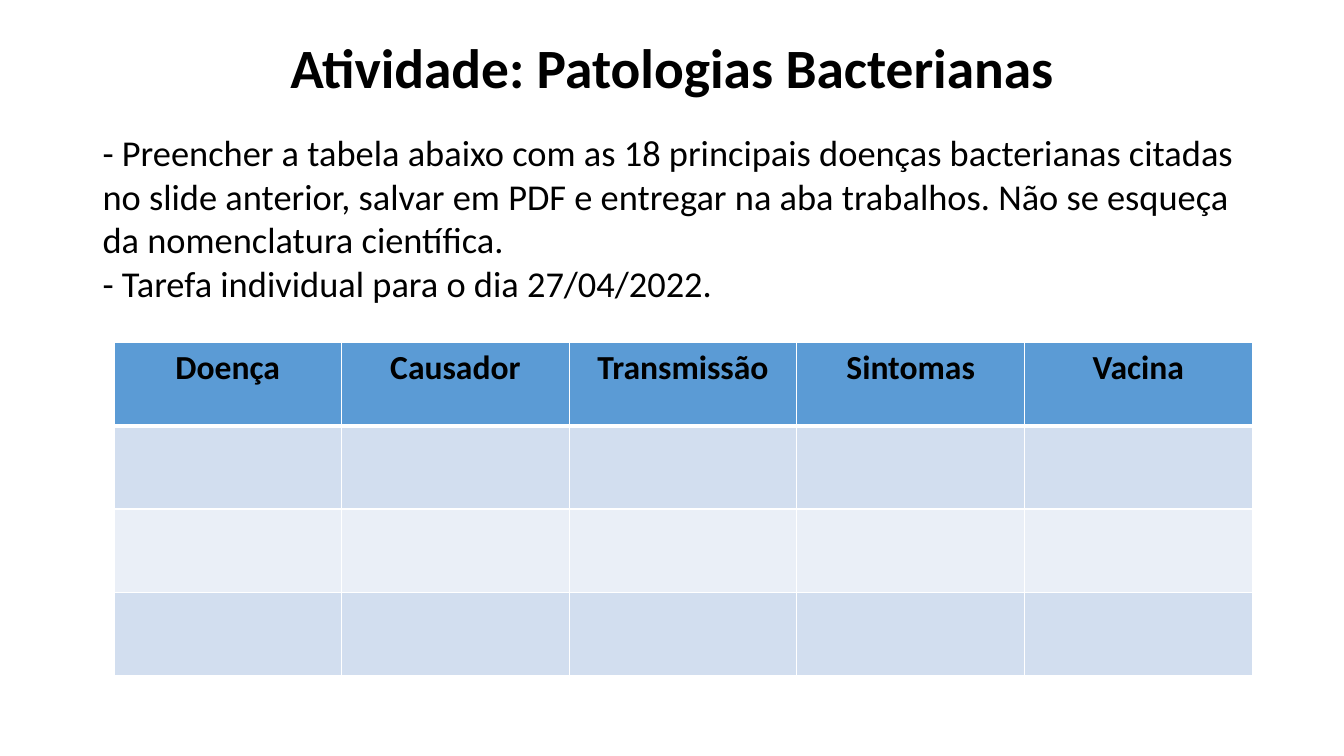
from dataclasses import dataclass

from lxml import etree
from pptx import Presentation
from pptx.dml.color import RGBColor
from pptx.enum.text import MSO_ANCHOR, PP_ALIGN
from pptx.oxml.ns import qn
from pptx.util import Pt

CENTER, LEFT = PP_ALIGN.CENTER, PP_ALIGN.LEFT
MIDDLE = MSO_ANCHOR.MIDDLE
BLANK_LAYOUT = 6


@dataclass(frozen=True)
class Theme:
    font: str = "Calibri"
    text: str = "000000"
    border: str = "FFFFFF"
    header: str = "5B9BD5"
    bands: tuple = ("D2DEEF", "EAEFF7")
    title_size: float = 39.6
    body_size: float = 26
    header_size: float = 24


THEME = Theme()

TITLE = "Atividade: Patologias Bacterianas"
INSTRUCTIONS = [
    "- Preencher a tabela abaixo com as 18 principais doenças bacterianas citadas "
    "no slide anterior, salvar em PDF e entregar na aba trabalhos. Não se esqueça "
    "da nomenclatura científica.",
    "- Tarefa individual para o dia 27/04/2022.",
]
HEADERS = ["Doença", "Causador", "Transmissão", "Sintomas", "Vacina"]
EMPTY_ROWS = 3
COLUMN_WIDTH, ROW_HEIGHT = 162.6, 59.4


def write_paragraph(paragraph, text, size, bold=False, align=LEFT):
    paragraph.alignment = align
    run = paragraph.add_run()
    run.text = text
    run.font.name = THEME.font
    run.font.size = Pt(size)
    run.font.bold = bold
    run.font.color.rgb = RGBColor.from_string(THEME.text)


def add_text(slide, box, lines, size, bold=False, align=LEFT, spacing=1.0):
    shape = slide.shapes.add_textbox(*map(Pt, box))
    frame = shape.text_frame
    frame.word_wrap = True
    frame.vertical_anchor = MIDDLE
    for index, line in enumerate(lines):
        paragraph = frame.add_paragraph() if index else frame.paragraphs[0]
        paragraph.line_spacing = spacing
        write_paragraph(paragraph, line, size, bold, align)


def set_borders(cell, widths):
    properties = cell._tc.get_or_add_tcPr()
    for index, (side, width) in enumerate(widths.items()):
        line = etree.Element(qn(f"a:{side}"), w=str(Pt(width)))
        fill = etree.SubElement(line, qn("a:solidFill"))
        etree.SubElement(fill, qn("a:srgbClr"), val=THEME.border)
        properties.insert(index, line)


def style_cell(cell, row):
    color = THEME.bands[(row - 1) % 2] if row else THEME.header
    cell.fill.solid()
    cell.fill.fore_color.rgb = RGBColor.from_string(color)
    # The rule between the header and the first band is thicker
    top = 3 if row == 1 else 1
    bottom = 3 if row == 0 else 1
    set_borders(cell, {"lnL": 1, "lnR": 1, "lnT": top, "lnB": bottom})


def add_disease_table(slide, left, top):
    rows, columns = EMPTY_ROWS + 1, len(HEADERS)
    table = slide.shapes.add_table(
        rows, columns, Pt(left), Pt(top),
        Pt(COLUMN_WIDTH * columns), Pt(ROW_HEIGHT * rows),
    ).table
    for column in table.columns:
        column.width = Pt(COLUMN_WIDTH)
    for index, row in enumerate(table.rows):
        row.height = Pt(ROW_HEIGHT)
        for cell in row.cells:
            style_cell(cell, index)
    for cell, header in zip(table.rows[0].cells, HEADERS):
        write_paragraph(cell.text_frame.paragraphs[0], header,
                        THEME.header_size, bold=True, align=CENTER)


def main():
    presentation = Presentation()
    presentation.slide_width, presentation.slide_height = Pt(960), Pt(540)
    slide = presentation.slides.add_slide(presentation.slide_layouts[BLANK_LAYOUT])

    # Title and instructions
    add_text(slide, (66.2, 28.8, 828, 42.5), [TITLE], THEME.title_size,
             bold=True, align=CENTER, spacing=0.9)
    add_text(slide, (66.2, 86.4, 828, 138), INSTRUCTIONS, THEME.body_size)

    # Table to fill in
    add_disease_table(slide, 81.4, 244.8)

    presentation.save("out.pptx")


if __name__ == "__main__":
    main()
